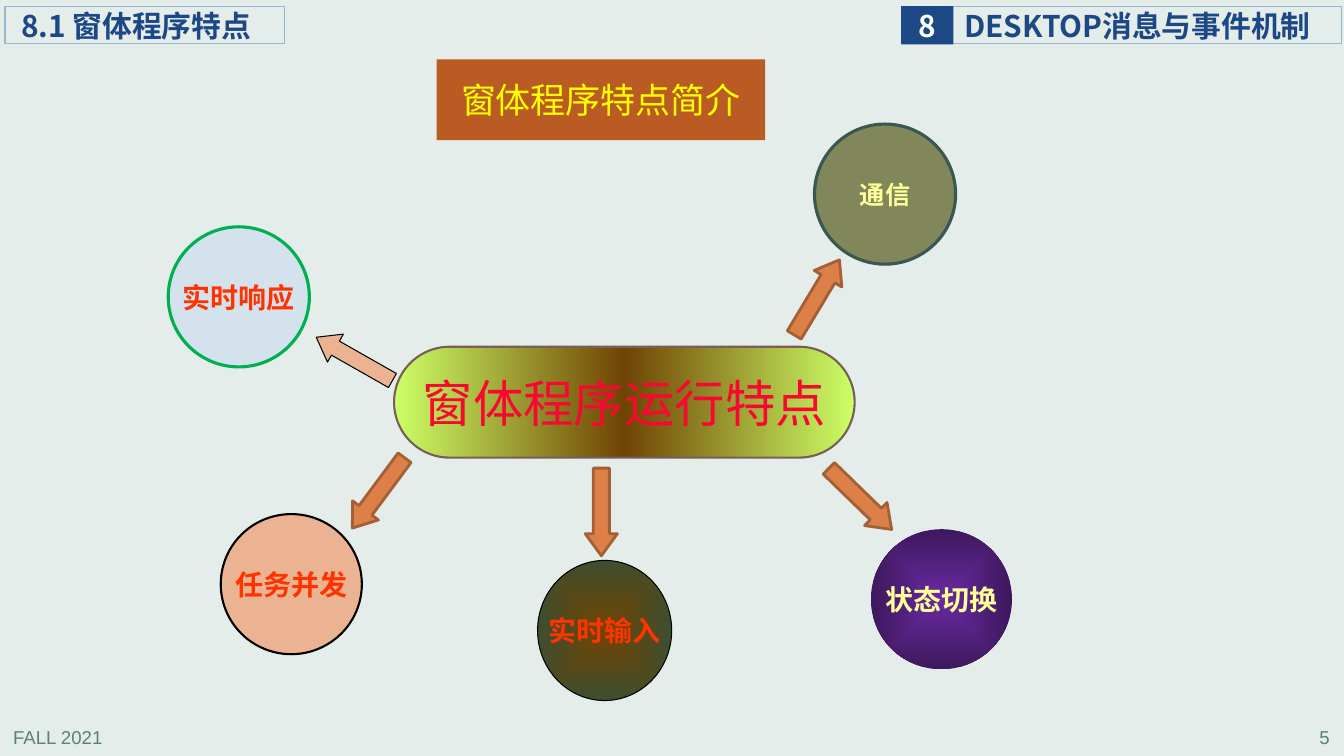
from pptx import Presentation
from pptx.dml.color import RGBColor
from pptx.enum.shapes import MSO_SHAPE
from pptx.enum.text import MSO_ANCHOR, MSO_AUTO_SIZE, PP_ALIGN
from pptx.oxml import parse_xml
from pptx.oxml.ns import nsdecls, qn
from pptx.util import Pt

RECTANGLE, OVAL = MSO_SHAPE.RECTANGLE, MSO_SHAPE.OVAL
PILL, ARROW = MSO_SHAPE.ROUNDED_RECTANGLE, MSO_SHAPE.RIGHT_ARROW
LEFT, CENTER, RIGHT = PP_ALIGN.LEFT, PP_ALIGN.CENTER, PP_ALIGN.RIGHT
MIDDLE = MSO_ANCHOR.MIDDLE
NO_AUTOFIT = MSO_AUTO_SIZE.NONE
TITLE_ONLY = 5

CJK_FONT = "Noto Sans CJK SC"
FOOTER_FONT = "Arial"

BACKGROUND = RGBColor(0xE5, 0xED, 0xEB)
FOOTER_GREEN = RGBColor(0x57, 0x82, 0x79)
NAVY = RGBColor(0x1C, 0x48, 0x85)
FRAME_BLUE = RGBColor(0x94, 0xB6, 0xD2)
WHITE = RGBColor(0xFF, 0xFF, 0xFF)
BLACK = RGBColor(0, 0, 0)
RED_ORANGE = RGBColor(0xFF, 0x33, 0x00)
CRIMSON = RGBColor(0xF8, 0x08, 0x30)
PALE_YELLOW = RGBColor(0xFF, 0xFF, 0x99)
YELLOW = RGBColor(0xFF, 0xFF, 0x00)
BROWN = RGBColor(0x70, 0x44, 0x04)
FOREST = RGBColor(0x3D, 0x4E, 0x2E)
VIOLET = RGBColor(0x69, 0x2A, 0xA2)
DEEP_VIOLET = RGBColor(0x3D, 0x18, 0x5D)
LIME = RGBColor(0xCC, 0xFF, 0x66)
TAUPE = RGBColor(0x77, 0x5F, 0x55)
PEACH = RGBColor(0xEB, 0xB3, 0x91)
ICE_BLUE = RGBColor(0xD4, 0xE2, 0xED)
GREEN = RGBColor(0x00, 0xB0, 0x50)
OLIVE = RGBColor(0x81, 0x87, 0x5A)
DARK_TEAL = RGBColor(0x3A, 0x57, 0x50)
ORANGE = RGBColor(0xDD, 0x80, 0x47)
RUST = RGBColor(0xA3, 0x5F, 0x35)
TITLE_ORANGE = RGBColor(0xB9, 0x5B, 0x22)

CIRCLE_SIZE = 100.8, 100.1
ARROW_SIZE = 62.6, 23


def place(shape, left, top, width, height):
    shape.left, shape.top = Pt(left), Pt(top)
    shape.width, shape.height = Pt(width), Pt(height)


def write(shape, text, size, color, bold=False, align=CENTER,
          font=CJK_FONT, wrap=False, left_inset=None):
    frame = shape.text_frame
    frame.text = text
    frame.auto_size = NO_AUTOFIT
    frame.word_wrap = wrap
    frame.vertical_anchor = MIDDLE
    if left_inset is not None:
        frame.margin_left = Pt(left_inset)
        frame.margin_right = frame.margin_top = frame.margin_bottom = 0
    para = frame.paragraphs[0]
    para.alignment = align
    for span in para.runs:
        span.font.size = Pt(size)
        span.font.bold = bold
        span.font.color.rgb = color
        span.font.name = font
        east_asian = parse_xml(f'<a:ea {nsdecls("a")} typeface="{font}"/>')
        span.font._element.find(qn("a:latin")).addnext(east_asian)


def add_box(slide, kind, area, fill=None, line=None):
    """Add a preset shape; line is a (colour, width) pair."""
    left, top, width, height = area
    box = slide.shapes.add_shape(kind, Pt(left), Pt(top), Pt(width), Pt(height))
    box.shadow.inherit = False
    if fill is None:
        box.fill.background()
    else:
        box.fill.solid()
        box.fill.fore_color.rgb = fill
    if line is None:
        box.line.fill.background()
    else:
        box.line.color.rgb, box.line.width = line[0], Pt(line[1])
    return box


def set_gradient(shape, colors, centered=False):
    """Spread the colours evenly, left to right or out from the centre."""
    step = 100000 // (len(colors) - 1)
    stops = "".join(
        f'<a:gs pos="{index * step}"><a:srgbClr val="{color}"/></a:gs>'
        for index, color in enumerate(colors))
    direction = '<a:lin ang="0" scaled="1"/>'
    if centered:
        direction = ('<a:path path="shape"><a:fillToRect l="50000" t="50000" '
                     'r="50000" b="50000"/></a:path>')
    shape.fill.gradient()
    properties = shape._element.spPr
    properties.replace(properties.find(qn("a:gradFill")), parse_xml(
        f'<a:gradFill {nsdecls("a")} rotWithShape="1">'
        f'<a:gsLst>{stops}</a:gsLst>{direction}</a:gradFill>'))


def add_circle(slide, text, left, top, fill, line, color, size=20, width=CIRCLE_SIZE[0]):
    """A pair of colours as fill gives a gradient from the centre."""
    is_gradient = isinstance(fill, list)
    area = left, top, width, CIRCLE_SIZE[1]
    circle = add_box(slide, OVAL, area, None if is_gradient else fill, line)
    if is_gradient:
        set_gradient(circle, fill, centered=True)
    write(circle, text, size, color, bold=True)


def add_arrow(slide, left, top, angle, fill=ORANGE, line=(RUST, 2)):
    arrow = add_box(slide, ARROW, (left, top, *ARROW_SIZE), fill, line)
    arrow.adjustments[0], arrow.adjustments[1] = 0.5, 0.685
    arrow.rotation = angle


def add_footer(slide, text, left, align):
    box = slide.shapes.add_textbox(Pt(left), Pt(515.5), Pt(200.2), Pt(22.3))
    write(box, text, 13.3, FOOTER_GREEN, align=align, font=FOOTER_FONT, wrap=True)


def add_header(slide, text, left, width, inset):
    box = add_box(slide, RECTANGLE, (left, 5, width, 25.9), line=(FRAME_BLUE, 0.75))
    write(box, text, 21.3, NAVY, True, LEFT, wrap=True, left_inset=inset)


def main():
    deck = Presentation()
    deck.slide_width, deck.slide_height = Pt(960), Pt(540)
    slide = deck.slides.add_slide(deck.slide_layouts[TITLE_ONLY])
    slide.background.fill.solid()
    slide.background.fill.fore_color.rgb = BACKGROUND

    # Title
    title = slide.shapes.title
    place(title, 311.8, 42.5, 234.7, 57.6)
    title.fill.solid()
    title.fill.fore_color.rgb = TITLE_ORANGE
    write(title, "窗体程序特点简介", 25, YELLOW, wrap=True)

    # Header and footer
    add_footer(slide, "FALL 2021", 2.2, LEFT)
    add_footer(slide, "5", 756.7, RIGHT)
    add_header(slide, "DESKTOP消息与事件机制", 680.4, 277.9, 8.6)
    add_header(slide, "8.1 窗体程序特点", 3.6, 199.4, 11.5)
    chapter = add_box(slide, RECTANGLE, (643.7, 4.3, 37.4, 27.4), NAVY)
    write(chapter, "8", 21.3, WHITE, True, left_inset=0)

    # Feature circles
    add_circle(slide, "实时输入", 384, 400.3, [BROWN, FOREST], (BLACK, 0.75),
               RED_ORANGE, width=95.8)
    add_circle(slide, "状态切换", 622.1, 378, [VIOLET, DEEP_VIOLET], None, PALE_YELLOW)
    add_circle(slide, "任务并发", 157.7, 367.2, PEACH, (BLACK, 1.5), RED_ORANGE)
    add_circle(slide, "实时响应", 120.2, 162, ICE_BLUE, (GREEN, 2.25), RED_ORANGE)
    add_circle(slide, "通信", 581.8, 88.6, OLIVE, (DARK_TEAL, 2.25), PALE_YELLOW, size=18)

    # Central topic
    topic = add_box(slide, PILL, (281.5, 247.7, 329, 79.2), LIME, (TAUPE, 1.5))
    topic.adjustments[0] = 0.5
    set_gradient(topic, [LIME, BROWN, LIME])
    write(topic, "窗体程序运行特点", 36, CRIMSON)

    # Arrows from the topic to the features
    add_arrow(slide, 552.2, 200.9, 301)
    add_arrow(slide, 583.2, 344.9, 44.2)
    add_arrow(slide, 398.2, 354.2, 90)
    add_arrow(slide, 239, 340.6, 126.6)
    add_arrow(slide, 221.8, 244.8, 209.6, PEACH, (BLACK, 0.75))

    deck.save("out.pptx")


if __name__ == "__main__":
    main()
